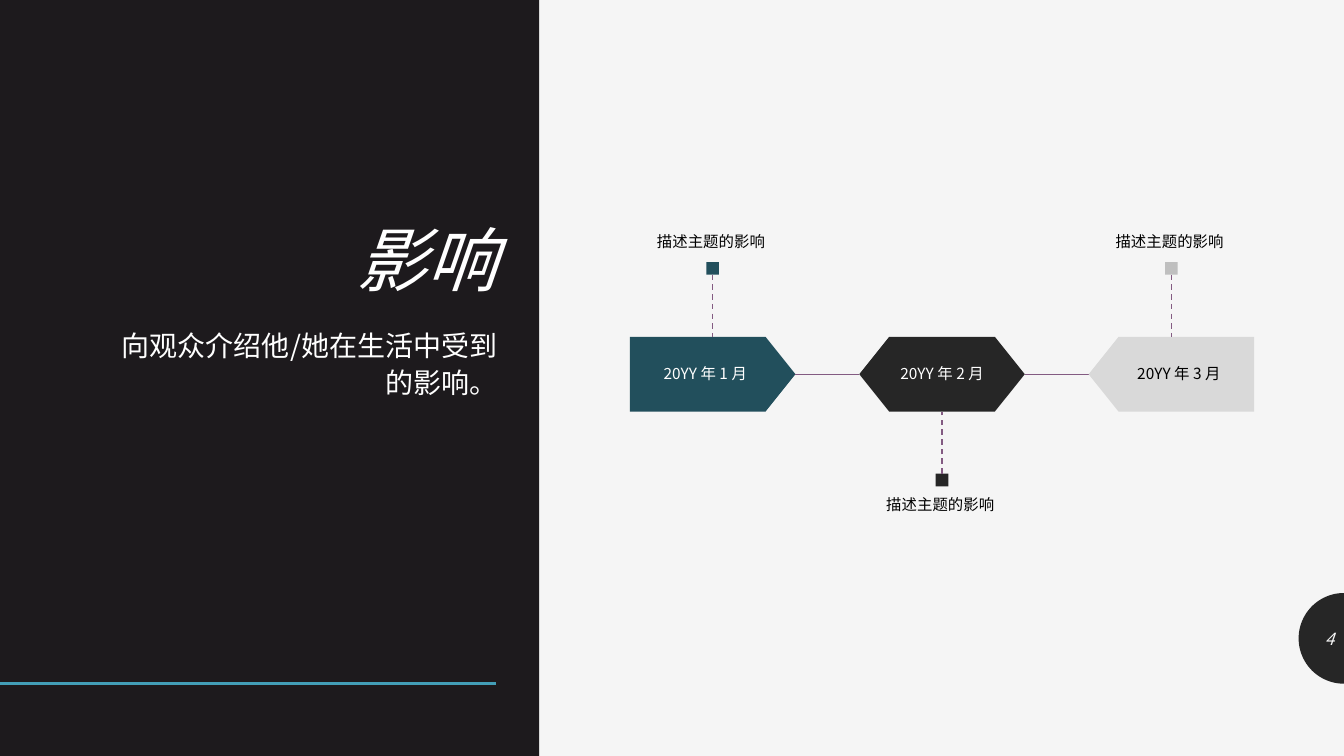
from dataclasses import dataclass
from math import cos, pi, sin

from lxml.etree import SubElement
from pptx import Presentation
from pptx.dml.color import RGBColor
from pptx.enum.dml import MSO_LINE
from pptx.enum.shapes import MSO_CONNECTOR, MSO_SHAPE
from pptx.enum.text import MSO_ANCHOR, MSO_AUTO_SIZE, PP_ALIGN
from pptx.oxml.ns import qn
from pptx.shapes.autoshape import Shape
from pptx.shapes.connector import Connector
from pptx.slide import Slide
from pptx.util import Emu, Inches, Pt

FONT = "Noto Sans CJK SC"
PAPER = RGBColor(0xF5, 0xF5, 0xF5)
PANEL = RGBColor(0x1D, 0x1A, 0x1D)
WHITE = RGBColor(0xFF, 0xFF, 0xFF)
BLACK = RGBColor(0x00, 0x00, 0x00)
BLUE = RGBColor(0x43, 0x9E, 0xB7)
TEAL = RGBColor(0x22, 0x4F, 0x5C)
DARK = RGBColor(0x26, 0x26, 0x26)
PALE = RGBColor(0xD9, 0xD9, 0xD9)
GREY = RGBColor(0xBF, 0xBF, 0xBF)
PLUM = RGBColor(0x83, 0x5B, 0x82)

COLS, ROWS = 160, 90
CELL = Inches(7.5) / ROWS

FIRST, PITCH, WIDE, HIGH = 75, 27.3, 19.7, 8.9
MID = 44.55
MARK = 1.5
REACH = 13.35
NOTE = 23.8
ROUND = 5.4


@dataclass(frozen=True)
class Box:
    col: float
    row: float
    cols: float
    rows: float

    def place(self) -> tuple[Emu, Emu, Emu, Emu]:
        return size(self.col), size(self.row), size(self.cols), size(self.rows)


@dataclass(frozen=True)
class Style:
    points: float
    color: RGBColor
    align: PP_ALIGN = PP_ALIGN.CENTER
    anchor: MSO_ANCHOR = MSO_ANCHOR.MIDDLE
    space: float = 0.9
    before: float = 0
    slant: bool = False
    pads: tuple[float, float] = (0.1, 0.05)


@dataclass(frozen=True)
class Step:
    date: str
    form: MSO_SHAPE
    fill: RGBColor
    mark: RGBColor
    ink: RGBColor
    above: bool = True
    turn: int = 0


STEPS = [
    Step("20YY 年 1 月", MSO_SHAPE.PENTAGON, TEAL, TEAL, WHITE),
    Step("20YY 年 2 月", MSO_SHAPE.HEXAGON, DARK, DARK, WHITE, above=False),
    Step("20YY 年 3 月", MSO_SHAPE.PENTAGON, PALE, GREY, BLACK, turn=180),
]


def size(cells: float) -> Emu:
    return Emu(round(cells * CELL))


def write(shape: Shape, text: str, style: Style) -> None:
    frame = shape.text_frame
    frame.word_wrap = True
    frame.auto_size = MSO_AUTO_SIZE.NONE
    frame.vertical_anchor = style.anchor
    side, edge = map(Inches, style.pads)
    frame.margin_left = frame.margin_right = side
    frame.margin_top = frame.margin_bottom = edge
    frame.text = text
    para = frame.paragraphs[0]
    para.alignment = style.align
    para.line_spacing = style.space
    para.space_before = Pt(style.before)
    para.font.name = FONT
    para.font.size = Pt(style.points)
    para.font.italic = style.slant
    para.font.color.rgb = style.color
    for props in shape.element.iter(qn("a:defRPr")):
        SubElement(props, qn("a:ea")).set("typeface", FONT)


def label(slide: Slide, box: Box, text: str, style: Style) -> None:
    write(slide.shapes.add_textbox(*box.place()), text, style)


def paint(shape: Shape, color: RGBColor) -> None:
    shape.shadow.inherit = False
    shape.fill.solid()
    shape.fill.fore_color.rgb = color
    shape.line.fill.background()


def block(slide: Slide, form: MSO_SHAPE, box: Box, color: RGBColor) -> Shape:
    shape = slide.shapes.add_shape(form, *box.place())
    paint(shape, color)
    return shape


def rule(slide: Slide, start: tuple[float, float], end: tuple[float, float],
         color: RGBColor, points: float) -> Connector:
    line = slide.shapes.add_connector(
        MSO_CONNECTOR.STRAIGHT, *map(size, start), *map(size, end))
    line.line.color.rgb = color
    line.line.width = Pt(points)
    SubElement(line.element.spPr, qn("a:effectLst"))
    return line


def draw(slide: Slide, step: Step, left: float) -> None:
    mid = left + WIDE / 2
    way = -1 if step.above else 1
    edge = MID + way * HIGH / 2
    far = MID + way * REACH
    top = far if step.above else far - MARK

    plate = block(slide, step.form, Box(left, MID - HIGH / 2, WIDE, HIGH), step.fill)
    plate.adjustments[0] = 0.4
    plate.rotation = step.turn
    write(plate, step.date, Style(11, step.ink, pads=(0.09, 0.09)))
    if step.turn:
        plate.element.txBody.bodyPr.set("rot", str(step.turn * 60000))

    mark = block(slide, MSO_SHAPE.RECTANGLE,
                 Box(mid - MARK / 2, top, MARK, MARK), step.mark)
    pole = rule(slide, (mid, far - way * MARK), (mid, edge), PLUM, 1)
    pole.line.dash_style = MSO_LINE.DASH
    pole.begin_connect(mark, 2 if step.above else 0)

    row = far - NOTE if step.above else far
    anchor = MSO_ANCHOR.BOTTOM if step.above else MSO_ANCHOR.TOP
    label(slide, Box(mid - PITCH / 2, row, PITCH, NOTE), "描述主题的影响 ",
          Style(11, BLACK, anchor=anchor, pads=(0, 0.11)))


def badge(slide: Slide) -> None:
    row = 76
    turns = [pi / 2 + pi * part / 48 for part in range(49)]
    spots = [(size(COLS + ROUND * cos(turn)), size(row - ROUND * sin(turn)))
             for turn in turns]
    form = slide.shapes.build_freeform(*spots[0])
    form.add_line_segments(spots[1:], close=True)
    paint(form.convert_to_shape(), DARK)
    label(slide, Box(COLS - ROUND, 73.6, ROUND, 4.8), "4",
          Style(12, PAPER, PP_ALIGN.RIGHT, space=1, slant=True))


def main() -> None:
    deck = Presentation()
    deck.slide_width, deck.slide_height = size(COLS), size(ROWS)
    slide = deck.slides.add_slide(deck.slide_layouts[5])
    slide.background.fill.solid()
    slide.background.fill.fore_color.rgb = PAPER

    block(slide, MSO_SHAPE.RECTANGLE, Box(0, 0, 64.2, ROWS), PANEL)
    rule(slide, (0, 81.4), (59.05, 81.4), BLUE, 2)

    title = slide.shapes.title
    title.element.getparent().append(title.element)
    title.left, title.top, title.width, title.height = Box(10, 7.3, 50.3, 29.2).place()
    write(title, "影响", Style(50, WHITE, PP_ALIGN.RIGHT, MSO_ANCHOR.BOTTOM, slant=True))
    label(slide, Box(10, 38, 50.4, 37.4), "向观众介绍他/她在生活中受到的影响。",
          Style(20, WHITE, PP_ALIGN.RIGHT, MSO_ANCHOR.TOP, 1.12, 9))

    for spot, step in enumerate(STEPS):
        left = FIRST + spot * PITCH
        if spot:
            rule(slide, (left - PITCH + WIDE, MID), (left, MID), PLUM, 0.5)
        draw(slide, step, left)

    badge(slide)
    deck.save("out.pptx")


if __name__ == "__main__":
    main()
